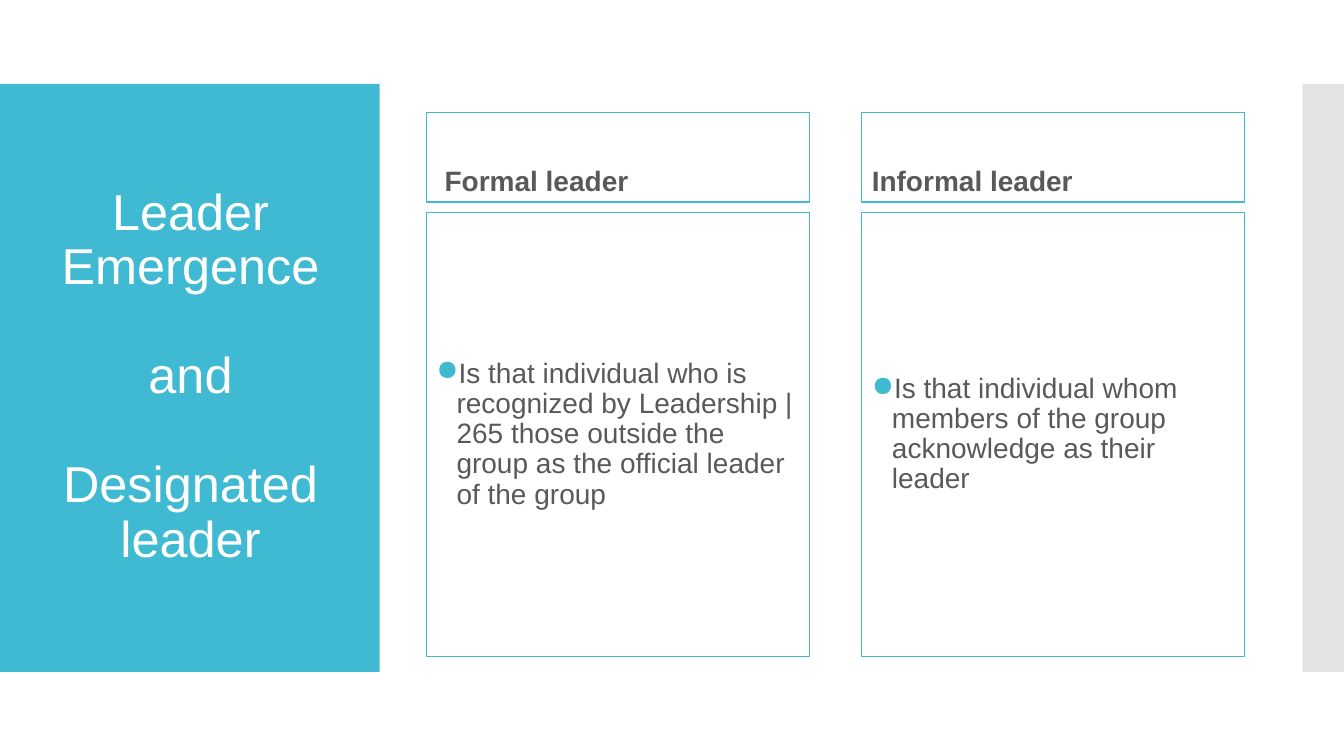
from dataclasses import dataclass

from lxml import etree
from pptx import Presentation
from pptx import util as u
from pptx.dml.color import RGBColor
from pptx.enum import shapes, text
from pptx.oxml import ns


@dataclass(frozen=True)
class Theme:
    font: str = "Arial"
    accent: str = "40BAD2"
    edge: str = "C8C8C8"
    title_ink: str = "FFFFFF"
    body_ink: str = "595959"
    title_size: int = 36
    body_size: int = 20
    title_gap: int = 39
    outline: float = 0.75
    line_spacing: float = 0.9


THEME = Theme()
WIDTH, HEIGHT = u.Inches(13.333), u.Inches(7.5)
BAND_TOP, BAND_HEIGHT = 11.11, 77.78
COLUMN_LEFT, COLUMN_STEP, COLUMN_WIDTH = 31.73, 32.4, 28.5
HEADING_TOP, HEADING_HEIGHT = 14.93, 11.8
DETAIL_TOP, DETAIL_HEIGHT = 28.13, 58.67
BULLET_INDENT = u.Inches(0.2)

TITLE = ["Leader Emergence", "and", "Designated leader"]
LEADERS = [
    ("Formal leader", 0.18,
     "Is that individual who is recognized by Leadership | 265 those outside "
     "the group as the official leader of the group"),
    ("Informal leader", 0.1,
     "Is that individual whom members of the group acknowledge as their leader"),
]


def place(left, top, width, height):
    return [int(WIDTH * left / 100), int(HEIGHT * top / 100),
            int(WIDTH * width / 100), int(HEIGHT * height / 100)]


def add_band(page, left, width, color, opacity=100):
    band = page.shapes.add_shape(shapes.MSO_SHAPE.RECTANGLE,
                                 *place(left, BAND_TOP, width, BAND_HEIGHT))
    band.shadow.inherit = False
    band.line.fill.background()
    band.fill.solid()
    band.fill.fore_color.rgb = RGBColor.from_string(color)
    if opacity < 100:
        tint = band.fill._xPr.find(".//" + ns.qn("a:srgbClr"))
        etree.SubElement(tint, ns.qn("a:alpha"), val=str(opacity * 1000))


def add_bullet(para):
    properties = para._p.get_or_add_pPr()
    properties.set("marL", str(BULLET_INDENT))
    properties.set("indent", str(-BULLET_INDENT))
    color = etree.SubElement(properties, ns.qn("a:buClr"))
    etree.SubElement(color, ns.qn("a:srgbClr"), val=THEME.accent)
    etree.SubElement(properties, ns.qn("a:buChar"), char="●")


def write(box, lines, size, ink, anchor, align=text.PP_ALIGN.LEFT,
          bold=False, bullet=False, gap=0, inset=0.1):
    frame = box.text_frame
    frame.word_wrap = True
    frame.vertical_anchor = anchor
    frame.margin_left = u.Inches(inset)
    frame.text = "\n".join(lines)
    for index, para in enumerate(frame.paragraphs):
        para.alignment = align
        para.line_spacing = THEME.line_spacing
        if index and gap:
            para.space_before = u.Pt(gap)
        if bullet:
            add_bullet(para)
        for span in para.runs:
            span.font.name = THEME.font
            span.font.size = u.Pt(size)
            span.font.bold = bold
            span.font.color.rgb = RGBColor.from_string(ink)


def add_title(page):
    box = page.shapes.add_textbox(*place(2.1, 16.4, 24.15, 67.07))
    write(box, TITLE, THEME.title_size, THEME.title_ink, text.MSO_ANCHOR.MIDDLE,
          align=text.PP_ALIGN.CENTER, gap=THEME.title_gap)


def add_panel(page, column, top, height, words, anchor, **style):
    left = COLUMN_LEFT + column * COLUMN_STEP
    box = page.shapes.add_shape(shapes.MSO_SHAPE.RECTANGLE,
                                *place(left, top, COLUMN_WIDTH, height))
    box.shadow.inherit = False
    box.fill.background()
    box.line.color.rgb = RGBColor.from_string(THEME.accent)
    box.line.width = u.Pt(THEME.outline)
    write(box, [words], THEME.body_size, THEME.body_ink, anchor, **style)


def main():
    deck = Presentation()
    deck.slide_width, deck.slide_height = WIDTH, HEIGHT
    page = deck.slides.add_slide(deck.slide_layouts[6])
    add_band(page, 0, 28.25, THEME.accent)
    add_band(page, 96.9, 3.1, THEME.edge, opacity=50)
    add_title(page)
    for column, (heading, inset, detail) in enumerate(LEADERS):
        add_panel(page, column, HEADING_TOP, HEADING_HEIGHT, heading,
                  text.MSO_ANCHOR.BOTTOM, bold=True, inset=inset)
        add_panel(page, column, DETAIL_TOP, DETAIL_HEIGHT, detail,
                  text.MSO_ANCHOR.MIDDLE, bullet=True)
    deck.save("out.pptx")


if __name__ == "__main__":
    main()
